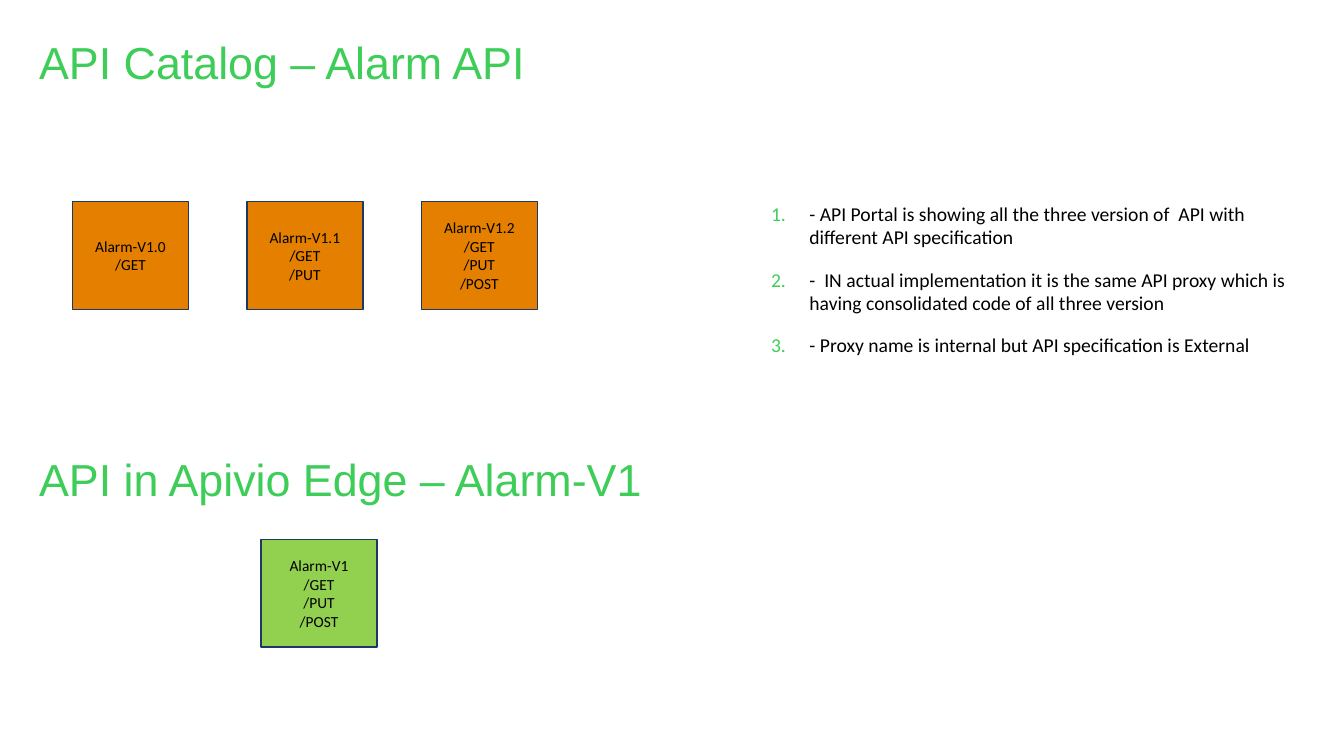
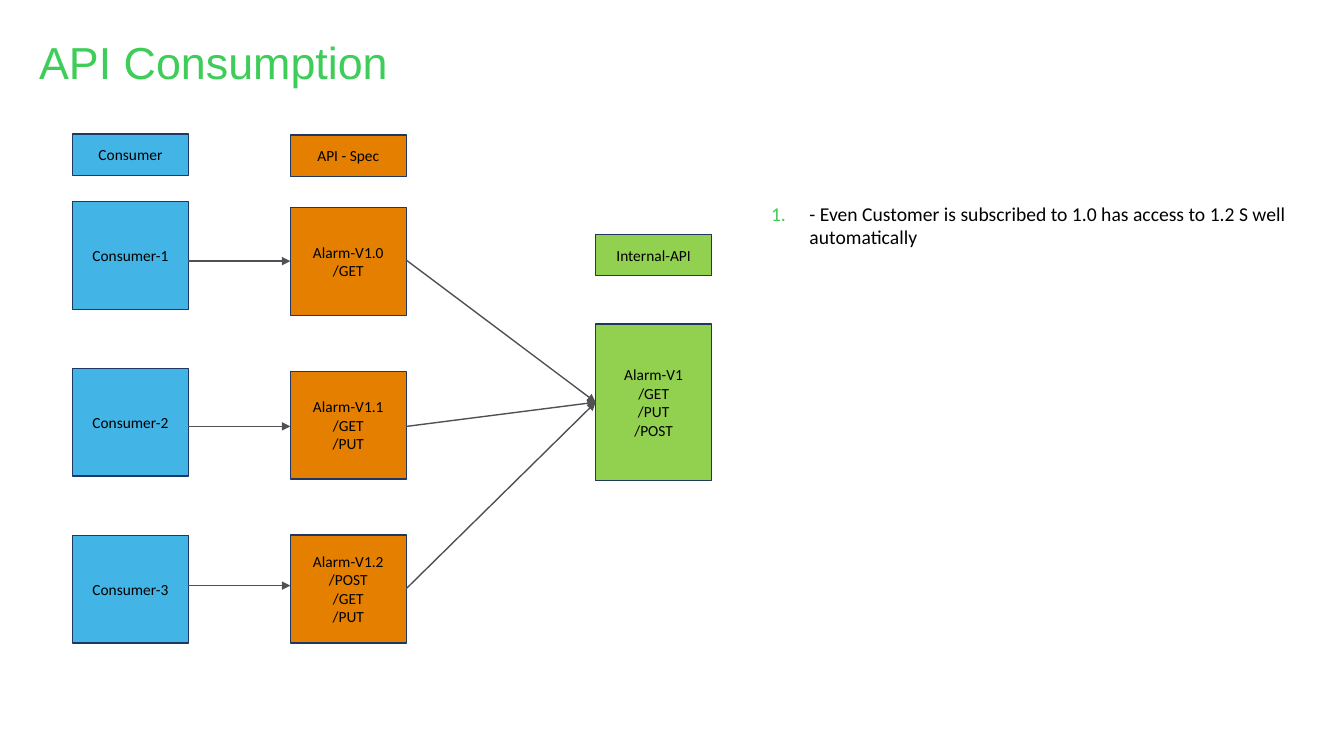
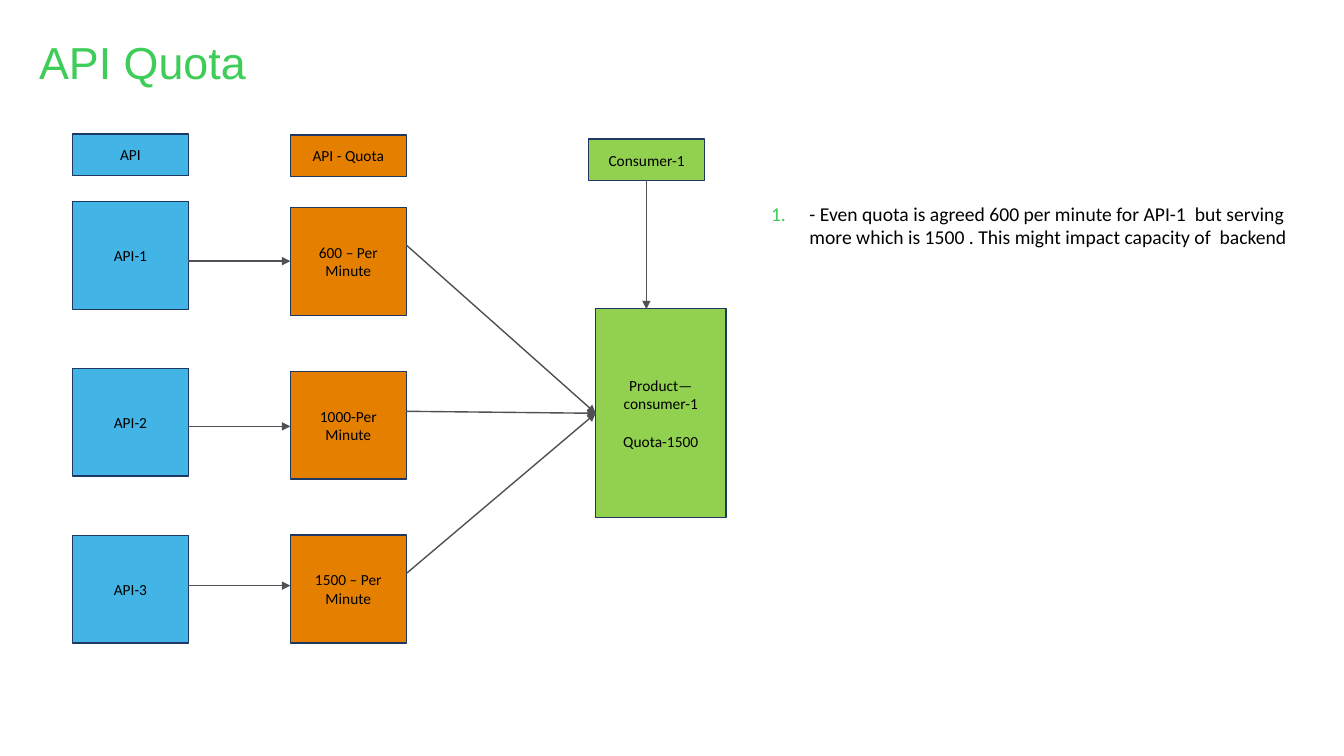
"""Builds three slides on API versions, consumption and quota."""
from dataclasses import dataclass
from typing import Sequence

from pptx import Presentation
from pptx.dml.color import RGBColor
from pptx.enum.shapes import MSO_CONNECTOR, MSO_SHAPE
from pptx.enum.text import MSO_ANCHOR, PP_ALIGN
from pptx.oxml.ns import qn
from pptx.slide import Slide
from pptx.text.text import _Paragraph as Paragraph
from pptx.util import Pt
from lxml.etree import SubElement

COLORS = {
    "title": "3DCD58",
    "text": "000000",
    "outline": "1F3763",
    "arrow": "4F5156",
    "consumer": "42B4E6",
    "spec": "E47F00",
    "internal": "92D050",
}
TITLE_FONT, BODY_FONT = "Arial", "Calibri"
PARAGRAPH_SPACE = 6.7

BOX_WIDTH, BOX_HEIGHT, HEADER_HEIGHT = 82.8, 77, 29.5
LEFT_COLUMN, SPEC_COLUMN, TARGET_COLUMN = 51.8, 207.4, 425.5
CARD_TOP, CARD_STEP = 144, 124.6
LEFT_STEP = 119.2
SPEC_TOP, SPEC_STEP = 148.3, 117
LINK_LEVELS = (186.5, 304.6, 418.3)
SPEC_EXITS = (185.8, 304.6, 420.5)


@dataclass(frozen=True)
class Box:
    """A filled rectangle with centred lines of text, in points."""
    text: str
    color: str
    left: float
    top: float
    width: float = BOX_WIDTH
    height: float = BOX_HEIGHT
    last_space: float = 0


@dataclass(frozen=True)
class Arrow:
    """A straight arrow between two points."""
    start_x: float
    start_y: float
    end_x: float
    end_y: float


@dataclass(frozen=True)
class Flow:
    """Two columns of boxes that lead to one target."""
    headers: tuple[str, str]
    sources: Sequence[str]
    specs: Sequence[str]
    target: Box
    target_header: Box
    entry_y: float
    exit_shift: float = 0


def rgb(name: str) -> RGBColor:
    """Return the named colour."""
    return RGBColor.from_string(COLORS[name])


def style_spans(paragraph: Paragraph, font: str, size: float, color: str) -> None:
    """Format every run of a paragraph."""
    for span in paragraph.runs:
        span.font.name = font
        span.font.size = Pt(size)
        span.font.color.rgb = rgb(color)


def set_indent(paragraph: Paragraph, left: float, first: float) -> None:
    """Set the indents and the spacing around a paragraph."""
    paragraph.space_before = paragraph.space_after = Pt(PARAGRAPH_SPACE)
    properties = paragraph._p.get_or_add_pPr()
    properties.set("marL", str(Pt(left)))
    properties.set("indent", str(Pt(first)))


def number_paragraph(paragraph: Paragraph) -> None:
    """Give a paragraph a coloured automatic number."""
    properties = paragraph._p.get_or_add_pPr()
    bullet_color = SubElement(properties, qn("a:buClr"))
    SubElement(bullet_color, qn("a:srgbClr"), val=COLORS["title"])
    SubElement(properties, qn("a:buFont"), typeface=BODY_FONT)
    SubElement(properties, qn("a:buAutoNum"), type="arabicPeriod")


def add_text(page: Slide, text: str, left: float, top: float,
             width: float, height: float) -> Sequence[Paragraph]:
    """Add a text box without insets and return its paragraphs."""
    frame = page.shapes.add_textbox(Pt(left), Pt(top), Pt(width), Pt(height)).text_frame
    frame.word_wrap = True
    frame.margin_left = frame.margin_right = 0
    frame.margin_top = frame.margin_bottom = 0
    frame.text = text
    return frame.paragraphs


def add_title(page: Slide, text: str, top: float = 24.5, width: float = 908) -> None:
    """Add a green heading."""
    for paragraph in add_text(page, text, 26.6, top, width, 38.9):
        set_indent(paragraph, 18, -16.6)
        style_spans(paragraph, TITLE_FONT, 32, "title")


def add_notes_list(page: Slide, items: Sequence[str]) -> None:
    """Add the numbered remarks on the right."""
    for paragraph in add_text(page, "\n".join(items), 549.4, 144, 383.8, 226):
        set_indent(paragraph, 28.8, -27.4)
        number_paragraph(paragraph)
        style_spans(paragraph, BODY_FONT, 14, "text")


def add_box(page: Slide, box: Box) -> None:
    """Draw a labelled rectangle."""
    shape = page.shapes.add_shape(MSO_SHAPE.RECTANGLE, Pt(box.left), Pt(box.top),
                                  Pt(box.width), Pt(box.height))
    shape.shadow.inherit = False
    shape.fill.solid()
    shape.fill.fore_color.rgb = rgb(box.color)
    shape.line.color.rgb = rgb("outline")
    shape.line.width = Pt(1)
    frame = shape.text_frame
    frame.word_wrap = True
    frame.vertical_anchor = MSO_ANCHOR.MIDDLE
    frame.text = box.text
    for paragraph in frame.paragraphs:
        paragraph.alignment = PP_ALIGN.CENTER
        style_spans(paragraph, BODY_FONT, 11, "text")
    if box.last_space:
        frame.paragraphs[-1].space_before = Pt(box.last_space)


def add_arrow(page: Slide, arrow: Arrow) -> None:
    """Draw a line with a triangle at its end."""
    line = page.shapes.add_connector(
        MSO_CONNECTOR.STRAIGHT, Pt(arrow.start_x), Pt(arrow.start_y),
        Pt(arrow.end_x), Pt(arrow.end_y))
    line.line.color.rgb = rgb("arrow")
    line.line.width = Pt(1)
    SubElement(line.line._get_or_add_ln(), qn("a:tailEnd"), type="triangle")
    SubElement(line._element.spPr, qn("a:effectLst"))


def add_flow(page: Slide, flow: Flow) -> None:
    """Draw the two columns, the target and the arrows between them."""
    boxes = [
        Box(flow.headers[0], "consumer", LEFT_COLUMN, 95.8, height=HEADER_HEIGHT),
        Box(flow.headers[1], "spec", SPEC_COLUMN, 96.5, height=HEADER_HEIGHT),
        flow.target_header,
        flow.target,
    ]
    boxes += [Box(text, "consumer", LEFT_COLUMN, CARD_TOP + row * LEFT_STEP)
              for row, text in enumerate(flow.sources)]
    boxes += [Box(text, "spec", SPEC_COLUMN, SPEC_TOP + row * SPEC_STEP)
              for row, text in enumerate(flow.specs)]
    for box in boxes:
        add_box(page, box)
    for level, exit_y in zip(LINK_LEVELS, SPEC_EXITS):
        add_arrow(page, Arrow(LEFT_COLUMN + BOX_WIDTH, level, SPEC_COLUMN, level))
        add_arrow(page, Arrow(SPEC_COLUMN + BOX_WIDTH, exit_y + flow.exit_shift,
                              TARGET_COLUMN, flow.entry_y))


def build_catalog(page: Slide) -> None:
    """Fill the slide on the API catalog."""
    add_title(page, "API Catalog – Alarm API")
    add_notes_list(page, [
        "- API Portal is showing all the three version of  API with different API specification",
        "-  IN actual implementation it is the same API proxy which is having "
        "consolidated code of all three version",
        "- Proxy name is internal but API specification is External",
    ])
    versions = ("Alarm-V1.0\n/GET", "Alarm-V1.1\n/GET\n/PUT",
                "Alarm-V1.2\n/GET\n/PUT\n/POST")
    for column, text in enumerate(versions):
        add_box(page, Box(text, "spec", LEFT_COLUMN + column * CARD_STEP, CARD_TOP))
    add_title(page, "API in Apivio Edge – Alarm-V1", top=322.6, width=462)
    add_box(page, Box("Alarm-V1\n/GET\n/PUT\n/POST", "internal", 186.5, 385.2))


def build_consumption(page: Slide) -> None:
    """Fill the slide on API consumption."""
    add_title(page, "API Consumption")
    add_notes_list(page, [
        "- Even Customer is subscribed to 1.0 has access to 1.2 S well automatically"])
    add_flow(page, Flow(
        headers=("Consumer", "API - Spec"),
        sources=("Consumer-1", "Consumer-2", "Consumer-3"),
        specs=("Alarm-V1.0\n/GET", "Alarm-V1.1\n/GET\n/PUT",
               "Alarm-V1.2\n/POST\n/GET\n/PUT"),
        target=Box("Alarm-V1\n/GET\n/PUT\n/POST", "internal",
                   TARGET_COLUMN, 231.5, height=111.6),
        target_header=Box("Internal-API", "internal", TARGET_COLUMN, 167.5,
                          height=HEADER_HEIGHT),
        entry_y=287.3,
    ))


def build_quota(page: Slide) -> None:
    """Fill the slide on API quota."""
    add_title(page, "API Quota")
    add_notes_list(page, [
        "- Even quota is agreed 600 per minute for API-1  but serving more which is "
        "1500 . This might impact capacity of  backend"])
    add_flow(page, Flow(
        headers=("API", "API - Quota"),
        sources=("API-1", "API-2", "API-3"),
        specs=("600 – Per Minute", "1000-Per Minute", "1500 – Per Minute"),
        target=Box("Product—consumer-1\nQuota-1500", "internal", TARGET_COLUMN, 220.5,
                   width=93, height=149, last_space=13.4),
        target_header=Box("Consumer-1", "internal", 420.5, 99.4, height=HEADER_HEIGHT),
        entry_y=295.2,
        exit_shift=-10.8,
    ))
    add_arrow(page, Arrow(461.7, 128.9, 461.7, 220.8))


def main() -> None:
    """Build and save the deck."""
    deck = Presentation()
    deck.slide_width, deck.slide_height = Pt(960), Pt(540)
    for build in (build_catalog, build_consumption, build_quota):
        build(deck.slides.add_slide(deck.slide_layouts[6]))
    deck.save("out.pptx")


main()
